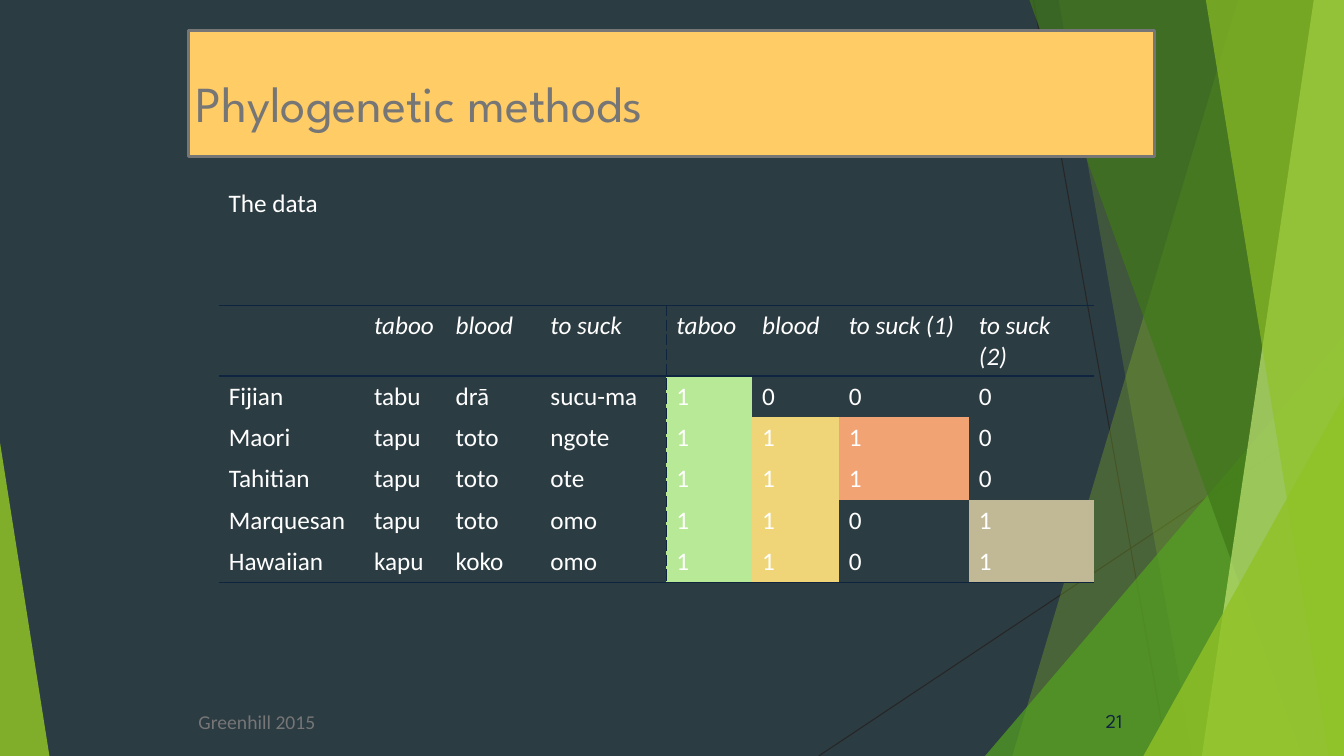
from lxml import etree
from pptx import Presentation
from pptx.dml.color import RGBColor
from pptx.enum.shapes import MSO_CONNECTOR, MSO_SHAPE
from pptx.enum.text import MSO_ANCHOR, PP_ALIGN
from pptx.oxml.ns import qn
from pptx.util import Inches, Pt

RECT, TRIANGLE = MSO_SHAPE.RECTANGLE, MSO_SHAPE.ISOSCELES_TRIANGLE
STRAIGHT = MSO_CONNECTOR.STRAIGHT
TOP, MIDDLE = MSO_ANCHOR.TOP, MSO_ANCHOR.MIDDLE
LEFT, RIGHT = PP_ALIGN.LEFT, PP_ALIGN.RIGHT
HEADING_FONT, BODY_FONT = "League Spartan", "Calibri"
W, H = 13.33, 7.5

COLORS = {
    "background": "2C3C43", "hairline": "262626", "lime": "90C226",
    "green": "54A021", "forest": "3F7819", "pale": "C0E474",
    "banner": "FFCC66", "gray": "767676", "number": "10253F",
    "white": "FFFFFF", "rule": "0F243E", "taboo": "B7E996",
    "blood": "F0D578", "suck1": "F1A374", "suck2": "C1B995",
}
HAIRLINES = [(10.25, 0, 11.58, H), (W, 4.03, 8.12, H)]
FACETS = [
    ("band", 12.28, 10.04, "lime", 30),
    ("band", 10.5, 11.83, "lime", 20),
    ("triangle", (9.77, 3.33, 3.56, 4.17), 1, "green", 72),
    ("band", 10.21, 12.91, "forest", 70),
    ("band", 13.03, 11.92, "pale", 70),
    ("band", 11.96, 13.18, "lime", 65),
    ("triangle", (11.34, 3.93, 1.99, 3.57), 1, "lime", 80),
    ("triangle", (0, 4.39, 0.49, 3.11), 0, "lime", 85),
]
COLUMNS = [1.44, 0.81, 0.94, 1.25, 0.85, 0.86, 1.29, 1.24]
ROW_HEIGHT = 0.41
FIRST_CODE_COLUMN = 4
CODE_FILLS = ["taboo", "blood", "suck1", "suck2"]
ROWS = [
    ["", "taboo", "blood", "to suck", "taboo", "blood", "to suck (1)", "to suck (2)"],
    ["Fijian", "tabu", "drā", "sucu-ma", "1", "0", "0", "0"],
    ["Maori", "tapu", "toto", "ngote", "1", "1", "1", "0"],
    ["Tahitian", "tapu", "toto", "ote", "1", "1", "1", "0"],
    ["Marquesan", "tapu", "toto", "omo", "1", "1", "0", "1"],
    ["Hawaiian", "kapu", "koko", "omo", "1", "1", "0", "1"],
]


def rgb(name):
    """Return the named colour."""
    return RGBColor.from_string(COLORS[name])


def box(values):
    """Convert a sequence of inches to lengths."""
    return [Inches(v) for v in values]


def add_run(p, text, size, font, color, italic=False):
    """Append one formatted run to a paragraph."""
    r = p.add_run()
    r.text = text
    r.font.size, r.font.name, r.font.italic = Pt(size), font, italic
    r.font.bold = False
    r.font.color.rgb = rgb(color)


def add_text(s, at, text, size, font, color, align=LEFT, anchor=TOP, wrap=True):
    """Add a one-paragraph text box."""
    tf = s.shapes.add_textbox(*box(at)).text_frame
    tf.word_wrap, tf.vertical_anchor = wrap, anchor
    p = tf.paragraphs[0]
    p.alignment = align
    add_run(p, text, size, font, color)


def add_hairline(s, ends):
    """Add a thin background line."""
    line = s.shapes.add_connector(STRAIGHT, *box(ends))
    line.line.color.rgb, line.line.width = rgb("hairline"), Pt(0.75)
    etree.SubElement(line.element.spPr, qn("a:effectLst"))


def add_band(s, top_x, bottom_x):
    """Add an outline from a slanted left edge to the slide's right edge."""
    points = [box(pt) for pt in ((W, 0), (W, H), (bottom_x, H))]
    builder = s.shapes.build_freeform(Inches(top_x), 0)
    builder.add_line_segments(points, close=True)
    return builder.convert_to_shape()


def add_triangle(s, at, apex):
    """Add a triangle with its apex at a share of the width."""
    sp = s.shapes.add_shape(TRIANGLE, *box(at))
    sp.adjustments[0] = apex
    return sp


def add_facet(s, kind, first, second, color, opacity):
    """Add one translucent background facet."""
    sp = (add_band if kind == "band" else add_triangle)(s, first, second)
    sp.shadow.inherit = False
    sp.fill.solid()
    sp.fill.fore_color.rgb = rgb(color)
    sp.line.fill.background()
    clr = sp.element.spPr.find(qn("a:solidFill")).find(qn("a:srgbClr"))
    etree.SubElement(clr, qn("a:alpha"), val=str(opacity * 1000))


def add_title(s, text):
    """Add the banner and set the title on top of it."""
    sp = s.shapes.add_shape(RECT, *box((1.87, 0.3, 9.58, 1.25)))
    sp.shadow.inherit = False
    sp.fill.solid()
    sp.fill.fore_color.rgb = rgb("banner")
    sp.line.color.rgb, sp.line.width = rgb("gray"), Pt(2)
    title = s.shapes.title
    title.left, title.top, title.width, title.height = box((1.84, 0.67, 8.3, 1.44))
    tf = title.text_frame
    tf.vertical_anchor, tf.word_wrap = TOP, True
    p = tf.paragraphs[0]
    p.alignment = LEFT
    add_run(p, text, 36, HEADING_FONT, "gray")
    s.shapes.element.append(title.element)


def set_borders(cell, dashes):
    """Draw the edges in dashes (edge to dash style) and clear the others."""
    tc_pr = cell._tc.get_or_add_tcPr()
    for edge in "LRTB":
        ln = etree.SubElement(tc_pr, qn(f"a:ln{edge}"), w=str(Pt(1)))
        if edge in dashes:
            fill = etree.SubElement(ln, qn("a:solidFill"))
            etree.SubElement(fill, qn("a:srgbClr"), val=COLORS["rule"])
            etree.SubElement(ln, qn("a:prstDash"), val=dashes[edge])
        else:
            etree.SubElement(ln, qn("a:noFill"))


def cell_borders(i, j):
    """Return the ruled edges of the cell in row i and column j."""
    dashes = {}
    if i <= 1:
        dashes["T"] = "solid"
    if i in (0, len(ROWS) - 1):
        dashes["B"] = "solid"
    if j == FIRST_CODE_COLUMN - 1:
        dashes["R"] = "dash"
    if j == FIRST_CODE_COLUMN:
        dashes["L"] = "dash"
    return dashes


def add_data_table(s):
    """Add the word list with its cognate coding."""
    at = box((2.17, 3.03, sum(COLUMNS), ROW_HEIGHT * len(ROWS)))
    table = s.shapes.add_table(len(ROWS), len(COLUMNS), *at).table
    table.first_row = table.horz_banding = False
    for column, width in zip(table.columns, COLUMNS):
        column.width = Inches(width)
    for i, row in enumerate(ROWS):
        table.rows[i].height = Inches(ROW_HEIGHT)
        for j, text in enumerate(row):
            cell = table.cell(i, j)
            set_borders(cell, cell_borders(i, j))
            if text == "1":
                cell.fill.solid()
                cell.fill.fore_color.rgb = rgb(CODE_FILLS[j - FIRST_CODE_COLUMN])
            else:
                cell.fill.background()
            if text:
                p = cell.text_frame.paragraphs[0]
                add_run(p, text, 18, BODY_FONT, "white", italic=i == 0)


def main():
    """Build and save the slide."""
    prs = Presentation()
    prs.slide_width, prs.slide_height = box((W, H))
    s = prs.slides.add_slide(prs.slide_layouts[5])
    s.background.fill.solid()
    s.background.fill.fore_color.rgb = rgb("background")
    for ends in HAIRLINES:
        add_hairline(s, ends)
    for facet in FACETS:
        add_facet(s, *facet)
    add_text(s, (8.9, 6.95, 2.33, 0.4), "21", 14, HEADING_FONT, "number", RIGHT, MIDDLE)
    add_title(s, "Phylogenetic methods")
    add_text(s, (2.17, 1.81, 9, 0.88), "The data", 18, BODY_FONT, "white")
    add_data_table(s)
    add_text(s, (1.87, 6.99, 1.41, 0.34), "Greenhill 2015", 14, BODY_FONT, "gray", wrap=False)
    prs.save("out.pptx")


if __name__ == "__main__":
    main()
